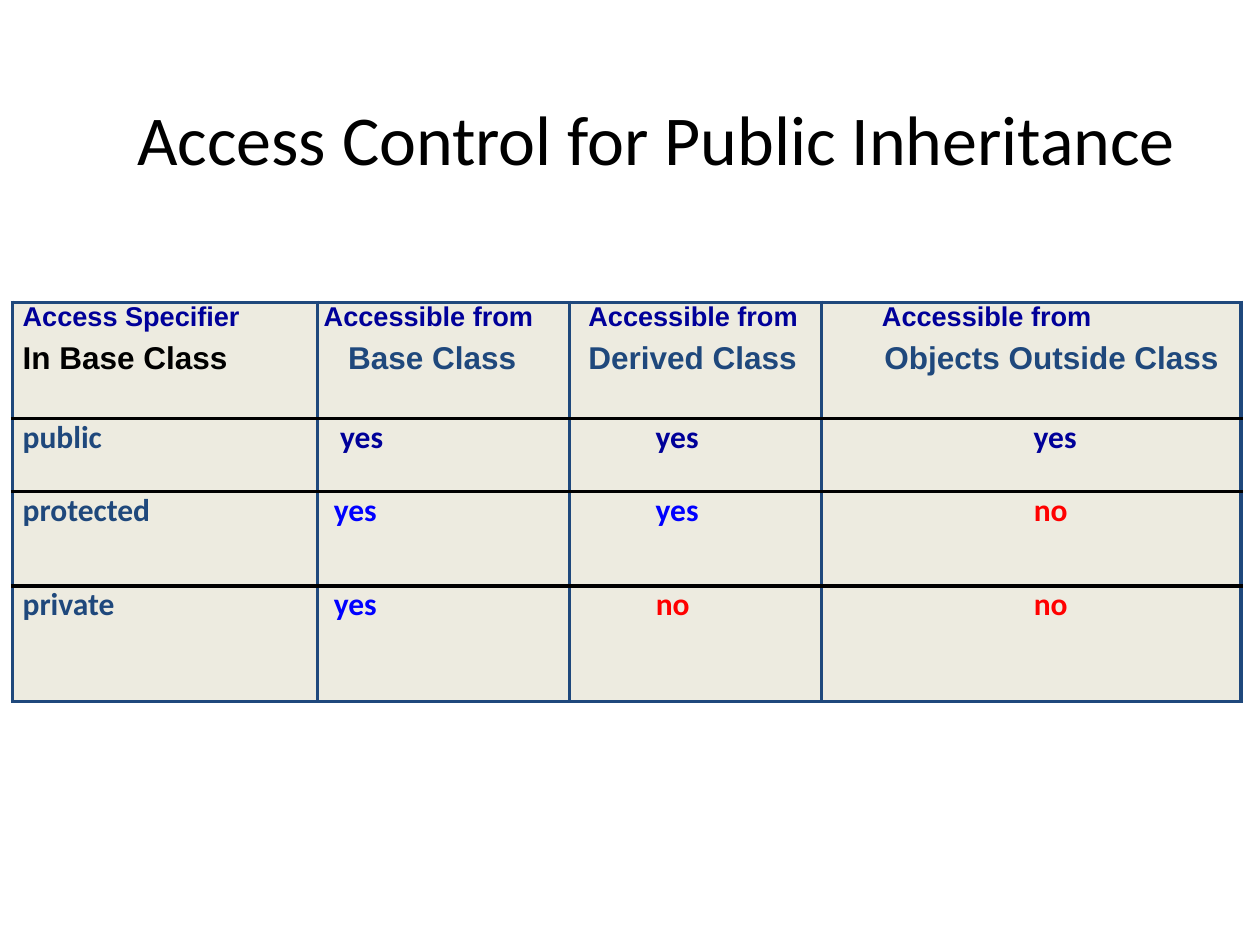
import dataclasses
import typing

import lxml.etree
import pptx
import pptx.dml.color
import pptx.enum.text
import pptx.oxml.ns
import pptx.util

Inches = pptx.util.Inches
Pt = pptx.util.Pt
Align = pptx.enum.text.PP_ALIGN

NAVY, STEEL, BLUE, RED, BLACK = "000099", "1F487C", "0000FF", "FF0000", "000000"
CREAM = "EDEBE0"
COLS = [2.42, 2, 2, 3.33]
ROWS = [0.92, 0.58, 0.75, 0.92]


@dataclasses.dataclass
class Line:
    text: str
    color: str
    left: float = 0
    right: float = 0
    mid: bool = False
    size: float = 18
    face: str = "Calibri"
    gap: float = 0
    bold: bool = True


def head(top: Line, low: Line) -> list[Line]:
    top.size, low.gap = 15.5, 4.5
    top.face = low.face = "Arial"
    return [top, low]


def yes(color: str, **fit: typing.Any) -> list[Line]:
    return [Line("yes", color, **fit)]


def no(**fit: typing.Any) -> list[Line]:
    return [Line("no", RED, mid=True, **fit)]


def name(text: str) -> list[Line]:
    return [Line(text, STEEL, 0.08)]


GRID = [
    [
        head(Line("Access Specifier", NAVY, 0.08), Line("In Base Class", BLACK, 0.08)),
        head(Line("Accessible from", NAVY, right=0.24, mid=True),
             Line("Base Class", STEEL, right=0.18, mid=True)),
        head(Line("Accessible from", NAVY, 0.15), Line("Derived Class", STEEL, 0.15)),
        head(Line("Accessible from", NAVY, 0.48),
             Line("Objects Outside Class", STEEL, 0.5)),
    ],
    [name("public"), yes(NAVY, left=0.18), yes(NAVY, right=0.29, mid=True),
     yes(NAVY, left=0.38, mid=True)],
    [name("protected"), yes(BLUE, left=0.13), yes(BLUE, right=0.29, mid=True),
     no(left=0.31)],
    [name("private"), yes(BLUE, left=0.13), no(right=0.36), no(left=0.31)],
]


def rgb(color: str) -> pptx.dml.color.RGBColor:
    return pptx.dml.color.RGBColor.from_string(color)


def apply(item: typing.Any, values: dict[str, typing.Any]) -> None:
    for key, value in values.items():
        setattr(item, key, value)


def write(frame: typing.Any, lines: list[Line]) -> None:
    for i, line in enumerate(lines):
        para = frame.paragraphs[0] if i == 0 else frame.add_paragraph()
        props = para._p.get_or_add_pPr()
        props.set("marL", str(Inches(line.left)))
        props.set("marR", str(Inches(line.right)))
        props.set("indent", "0")
        apply(para, {
            "alignment": Align.CENTER if line.mid else Align.LEFT,
            "space_before": Pt(line.gap),
        })
        run = para.add_run()
        run.text = line.text
        apply(run.font, {"name": line.face, "size": Pt(line.size), "bold": line.bold})
        run.font.color.rgb = rgb(line.color)


def edge(cell: typing.Any, sides: dict[str, str]) -> None:
    props = cell._tc.get_or_add_tcPr()
    for i, (side, color) in enumerate(sides.items()):
        line = lxml.etree.Element(pptx.oxml.ns.qn("a:ln" + side), w=str(Pt(2.25)))
        fill = lxml.etree.SubElement(line, pptx.oxml.ns.qn("a:solidFill"))
        lxml.etree.SubElement(fill, pptx.oxml.ns.qn("a:srgbClr"), val=color)
        props.insert(i, line)


def add_title(slide: typing.Any) -> None:
    title = slide.shapes.title
    apply(title, {"left": Inches(1.08), "top": Inches(0.76),
                  "width": Inches(8.26), "height": Inches(0.58)})
    frame = title.text_frame
    apply(frame, {
        "margin_left": 0, "margin_top": 0, "margin_right": 0, "margin_bottom": 0,
        "word_wrap": True,
        "vertical_anchor": pptx.enum.text.MSO_ANCHOR.TOP,
        "auto_size": pptx.enum.text.MSO_AUTO_SIZE.SHAPE_TO_FIT_TEXT,
    })
    write(frame, [Line("Access Control for Public Inheritance", BLACK, 0.01,
                       size=40, bold=False)])


def add_grid(slide: typing.Any) -> None:
    table = slide.shapes.add_table(
        len(ROWS), len(COLS), Inches(0.1), Inches(2.4),
        Inches(sum(COLS)), Inches(sum(ROWS))).table
    apply(table, {"first_row": False, "horz_banding": False})
    for col, width in zip(table.columns, COLS):
        col.width = Inches(width)
    for row, high in zip(table.rows, ROWS):
        row.height = Inches(high)
    last = len(ROWS) - 1
    for r, row in enumerate(GRID):
        for c, lines in enumerate(row):
            cell = table.cell(r, c)
            apply(cell, {"margin_left": 0, "margin_top": 0,
                         "margin_right": 0, "margin_bottom": 0})
            cell.fill.solid()
            cell.fill.fore_color.rgb = rgb(CREAM)
            edge(cell, {"L": STEEL, "R": STEEL,
                        "T": STEEL if r == 0 else BLACK,
                        "B": STEEL if r == last else BLACK})
            write(cell.text_frame, lines)


def main() -> None:
    deck = pptx.Presentation()
    apply(deck, {"slide_width": Inches(10), "slide_height": Inches(7.5)})
    slide = deck.slides.add_slide(deck.slide_layouts[5])
    add_title(slide)
    add_grid(slide)
    deck.save("out.pptx")


if __name__ == "__main__":
    main()
